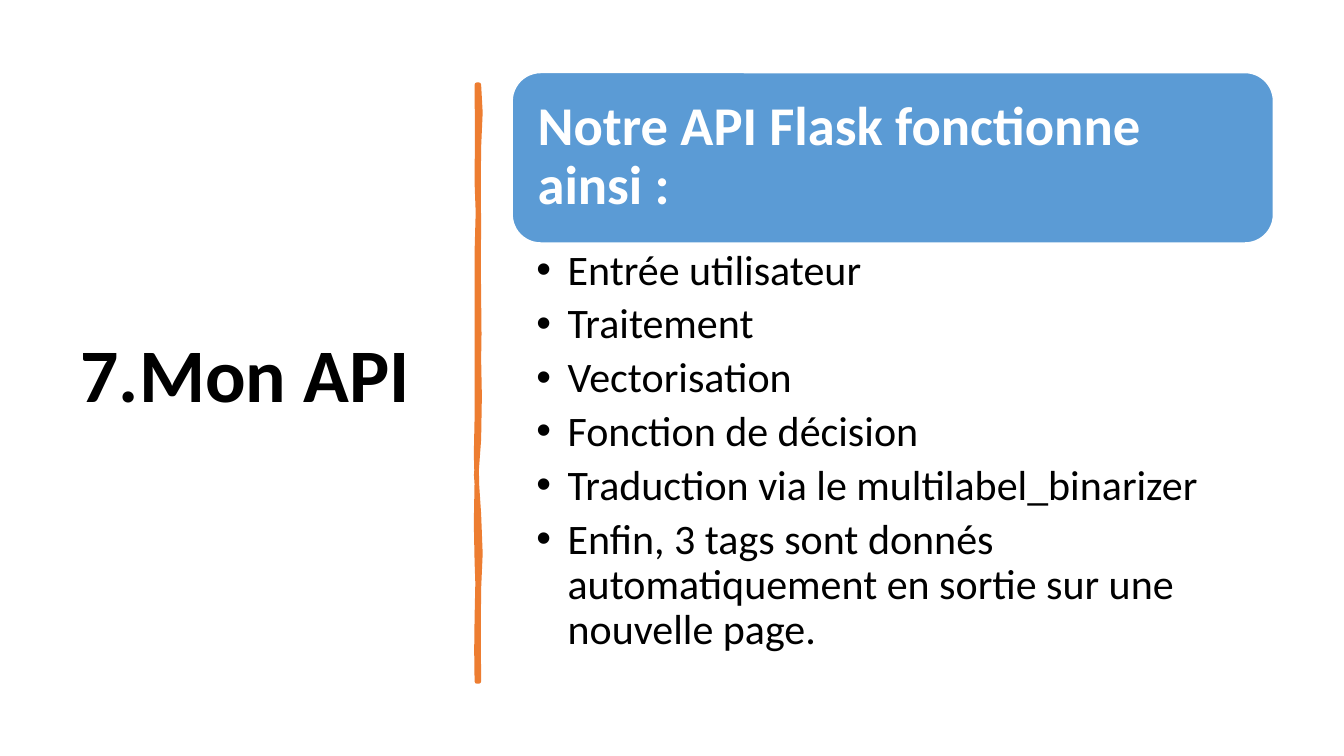
from lxml import etree
from pptx import Presentation, util as u
from pptx.dml.color import RGBColor
from pptx.enum import shapes, text
from pptx.oxml.ns import qn

# Content
TITLE = "7.Mon API"
HEADING = "Notre API Flask fonctionne ainsi\u00a0:"
STEPS = [
    "Entrée utilisateur",
    "Traitement",
    "Vectorisation",
    "Fonction de décision",
    "Traduction via le multilabel_binarizer",
    "Enfin, 3 tags sont donnés automatiquement en sortie sur une nouvelle page. ",
]
COLORS = {"text": "000000", "light": "FFFFFF", "box": "5B9BD5", "divider": "ED7D31"}

# Hand-drawn divider: start point, then cubic curves (two controls and an end)
DIVIDER_START = (4.75, 0.84)
DIVIDER_CURVES = [
    ((4.77, 1.02), (4.77, 1.19), (4.75, 1.46)),
    ((4.73, 1.73), (4.76, 1.95), (4.75, 2.26)),
    ((4.74, 2.57), (4.75, 2.62), (4.75, 2.94)),
    ((4.74, 3.25), (4.77, 3.42), (4.75, 3.56)),
    ((4.73, 3.70), (4.79, 4.14), (4.75, 4.36)),
    ((4.71, 4.57), (4.72, 4.84), (4.75, 5.10)),
    ((4.77, 5.36), (4.77, 5.64), (4.75, 5.84)),
    ((4.73, 6.03), (4.76, 6.50), (4.75, 6.76)),
    ((4.74, 6.76), (4.73, 6.76), (4.73, 6.76)),
    ((4.74, 6.46), (4.71, 6.44), (4.73, 6.13)),
    ((4.74, 5.83), (4.74, 5.70), (4.73, 5.57)),
    ((4.72, 5.44), (4.72, 4.95), (4.73, 4.77)),
    ((4.73, 4.59), (4.71, 4.45), (4.73, 4.15)),
    ((4.74, 3.86), (4.72, 3.73), (4.73, 3.35)),
    ((4.74, 2.98), (4.72, 2.81), (4.73, 2.50)),
    ((4.74, 2.18), (4.75, 2.00), (4.73, 1.81)),
    ((4.70, 1.63), (4.77, 1.04), (4.73, 0.84)),
]
CURVE_STEPS = 2


def color(name):
    return RGBColor.from_string(COLORS[name])


def set_all(target, values):
    for name, value in values.items():
        setattr(target, name, value)


def place(shape, left, top, width, height):
    set_all(shape, {"left": u.Inches(left), "top": u.Inches(top),
                    "width": u.Inches(width), "height": u.Inches(height)})


def format_frame(frame, anchor, left, top, right, bottom):
    set_all(frame, {
        "word_wrap": True, "auto_size": text.MSO_AUTO_SIZE.NONE, "vertical_anchor": anchor,
        "margin_left": u.Inches(left), "margin_top": u.Inches(top),
        "margin_right": u.Inches(right), "margin_bottom": u.Inches(bottom)})


def write(paragraph, words, size, color_name, bold=False, space_after=0):
    set_all(paragraph, {"alignment": text.PP_ALIGN.LEFT, "line_spacing": 0.9,
                        "space_before": u.Pt(0), "space_after": u.Pt(space_after)})
    run = paragraph.add_run()
    run.text = words
    set_all(run.font, {"name": "Calibri", "size": u.Pt(size), "bold": bold})
    run.font.color.rgb = color(color_name)


def add_bullet(paragraph, indent):
    properties = paragraph._p.get_or_add_pPr()
    properties.set("marL", str(u.Inches(indent)))
    properties.set("indent", str(u.Inches(-indent)))
    etree.SubElement(properties, qn("a:buFont")).set("typeface", "Arial")
    etree.SubElement(properties, qn("a:buChar")).set("char", "•")


def paint(shape, fill, line, width):
    shape.shadow.inherit = False
    shape.fill.solid()
    shape.fill.fore_color.rgb = color(fill)
    shape.line.color.rgb = color(line)
    shape.line.width = u.Pt(width)


def curve_points(start, curves):
    for first, second, end in curves:
        for step in range(1, CURVE_STEPS + 1):
            t = step / CURVE_STEPS
            weights = ((1 - t) ** 3, 3 * t * (1 - t) ** 2, 3 * t ** 2 * (1 - t), t ** 3)
            corners = (start, first, second, end)
            yield tuple(u.Inches(sum(w * corner[axis] for w, corner in zip(weights, corners)))
                        for axis in (0, 1))
        start = end


presentation = Presentation()
presentation.slide_width, presentation.slide_height = u.Inches(13.33), u.Inches(7.5)
slide = presentation.slides.add_slide(presentation.slide_layouts[5])

# Title
title = slide.shapes.title
place(title, 0.7, 0.69, 3.74, 6.11)
format_frame(title.text_frame, text.MSO_ANCHOR.MIDDLE, 0.1, 0.05, 0.1, 0.05)
write(title.text_frame.paragraphs[0], TITLE, 54, "text", bold=True)

# Divider
builder = slide.shapes.build_freeform(*(u.Inches(value) for value in DIVIDER_START))
builder.add_line_segments(list(curve_points(DIVIDER_START, DIVIDER_CURVES)), close=True)
paint(builder.convert_to_shape(), "divider", "divider", 3.25)

# Heading box
box = slide.shapes.add_shape(shapes.MSO_SHAPE.ROUNDED_RECTANGLE, *map(u.Inches, (5.08, 0.72, 7.55, 1.69)))
paint(box, "box", "light", 1)
format_frame(box.text_frame, text.MSO_ANCHOR.MIDDLE, 0.17, 0.16, 0.16, 0.16)
write(box.text_frame.paragraphs[0], HEADING, 39, "light", bold=True)

# Steps
steps = slide.shapes.add_textbox(*map(u.Inches, (5.08, 2.42, 7.55, 4.33))).text_frame
format_frame(steps, text.MSO_ANCHOR.TOP, 0.24, 0.05, 0.3, 0.05)
for index, step in enumerate(STEPS):
    paragraph = steps.add_paragraph() if index else steps.paragraphs[0]
    write(paragraph, step, 30, "text", space_after=6)
    add_bullet(paragraph, 0.31)

presentation.save("out.pptx")
